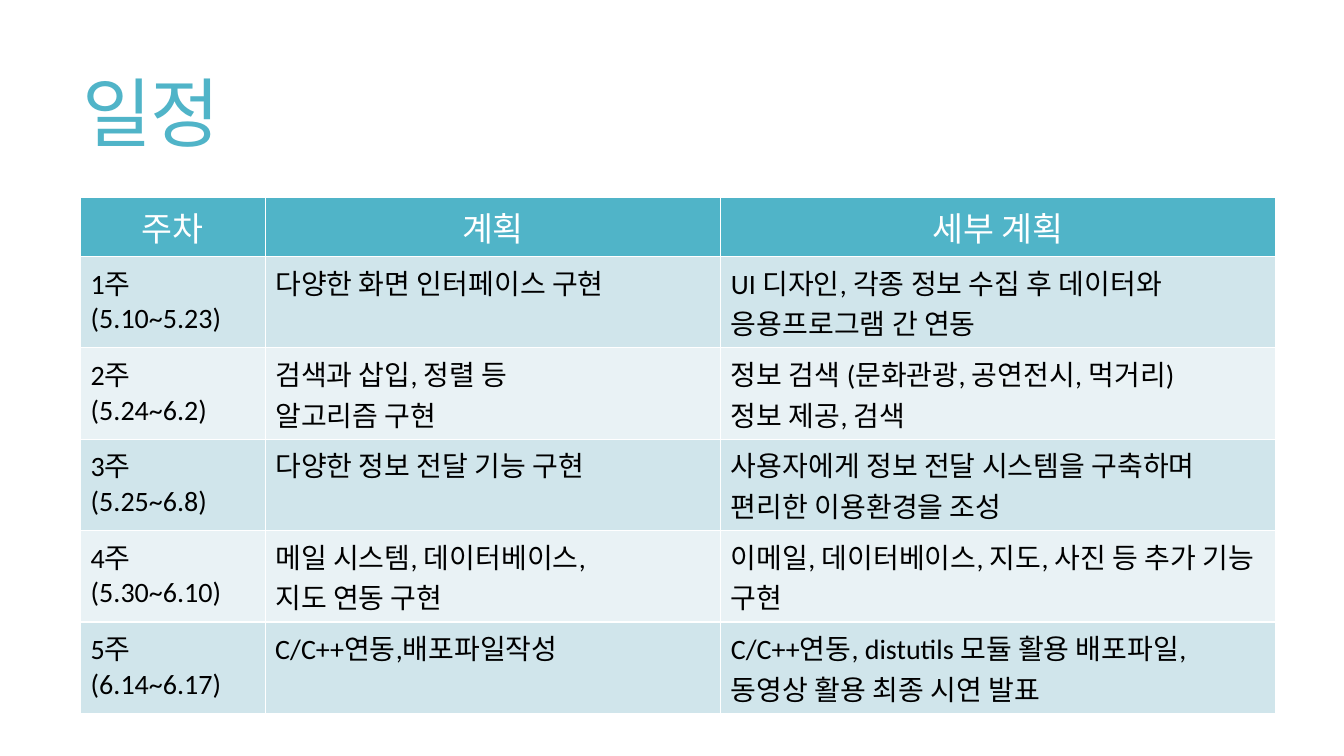
from pptx import Presentation
from pptx.dml.color import RGBColor
from pptx.enum.text import MSO_ANCHOR, MSO_AUTO_SIZE, PP_ALIGN
from pptx.util import Inches, Pt

LEFT, CENTER = PP_ALIGN.LEFT, PP_ALIGN.CENTER
MIDDLE = MSO_ANCHOR.MIDDLE
NO_FIT = MSO_AUTO_SIZE.NONE
FONT = "Calibri"
TEAL, WHITE, BLACK = "50B4C8", "FFFFFF", "000000"
BANDS = ["D0E5EB", "E9F2F5"]

WIDTHS = [1.83, 4.52, 5.5]
HEAD_H, ROW_H = 0.53, 0.8
ROWS = [
    ["주차", "계획", "세부 계획"],
    ["1주\n(5.10~5.23)", "다양한 화면 인터페이스 구현",
     "UI 디자인, 각종 정보 수집 후 데이터와\n응용프로그램 간 연동"],
    ["2주\n(5.24~6.2)", "검색과 삽입, 정렬 등\n알고리즘 구현",
     "정보 검색 (문화관광, 공연전시, 먹거리)\n정보 제공, 검색"],
    ["3주\n(5.25~6.8)", "다양한 정보 전달 기능 구현",
     "사용자에게 정보 전달 시스템을 구축하며\n편리한 이용환경을 조성"],
    ["4주\n(5.30~6.10)", "메일 시스템, 데이터베이스,\n지도 연동 구현",
     "이메일, 데이터베이스, 지도, 사진 등 추가 기능 구현"],
    ["5주\n(6.14~6.17)", "C/C++연동,배포파일작성",
     "C/C++연동, distutils 모듈 활용 배포파일, 동영상 활용 최종 시연 발표"],
]


def color(code):
    return RGBColor.from_string(code)


def style(para, size, code, align):
    para.alignment = align
    font = para.font
    font.name, font.size, font.bold = FONT, Pt(size), False
    font.color.rgb = color(code)


prs = Presentation()
prs.slide_width, prs.slide_height = Inches(13.33), Inches(7.5)
slide = prs.slides.add_slide(prs.slide_layouts[5])

# Title
title = slide.shapes.title
title.left, title.top = Inches(0.72), Inches(0.55)
title.width, title.height = Inches(11.78), Inches(1.24)
frame = title.text_frame
frame.text = "일정"
frame.auto_size = NO_FIT
frame.vertical_anchor = MIDDLE
para = frame.paragraphs[0]
style(para, 54, TEAL, LEFT)
para.line_spacing = 0.85
para.runs[0].font._element.set("spc", "-120")

# Schedule table; its default style draws the white borders
height = HEAD_H + ROW_H * (len(ROWS) - 1)
table = slide.shapes.add_table(
    len(ROWS), len(WIDTHS), Inches(0.8), Inches(1.96),
    Inches(sum(WIDTHS)), Inches(height)).table
for col, width in zip(table.columns, WIDTHS):
    col.width = Inches(width)

for r, texts in enumerate(ROWS):
    head = r == 0
    table.rows[r].height = Inches(HEAD_H if head else ROW_H)
    for c, text in enumerate(texts):
        cell = table.cell(r, c)
        cell.text = text
        cell.fill.solid()
        cell.fill.fore_color.rgb = color(TEAL if head else BANDS[(r - 1) % 2])
        for para in cell.text_frame.paragraphs:
            if head:
                style(para, 24, WHITE, CENTER)
            else:
                style(para, 20, BLACK, LEFT)

prs.save("out.pptx")
